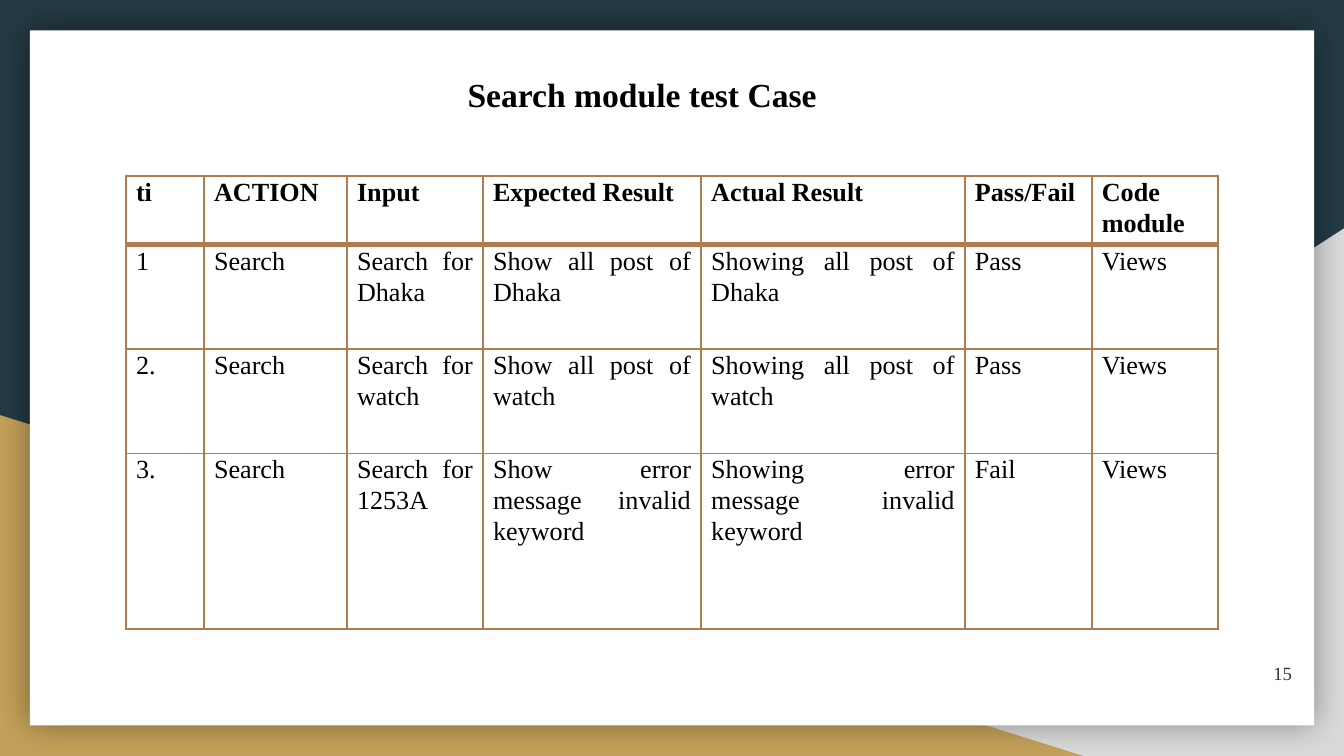
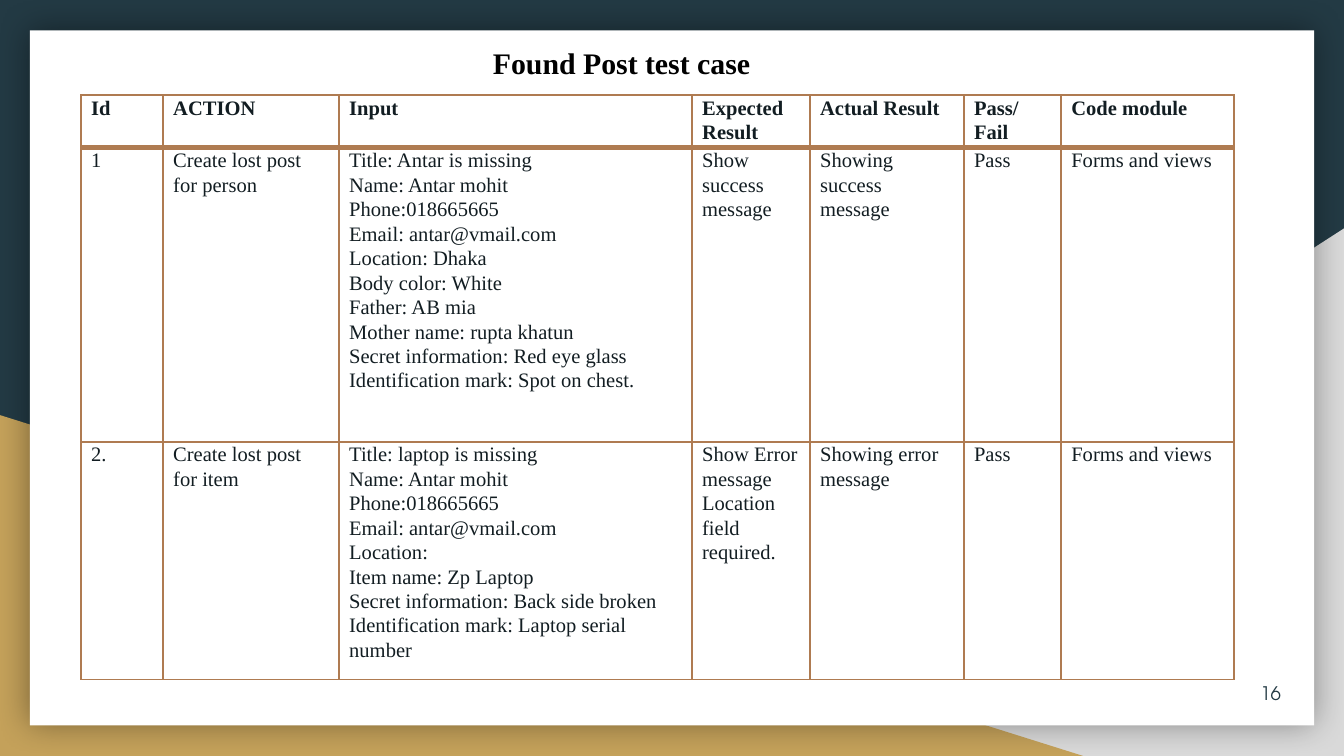
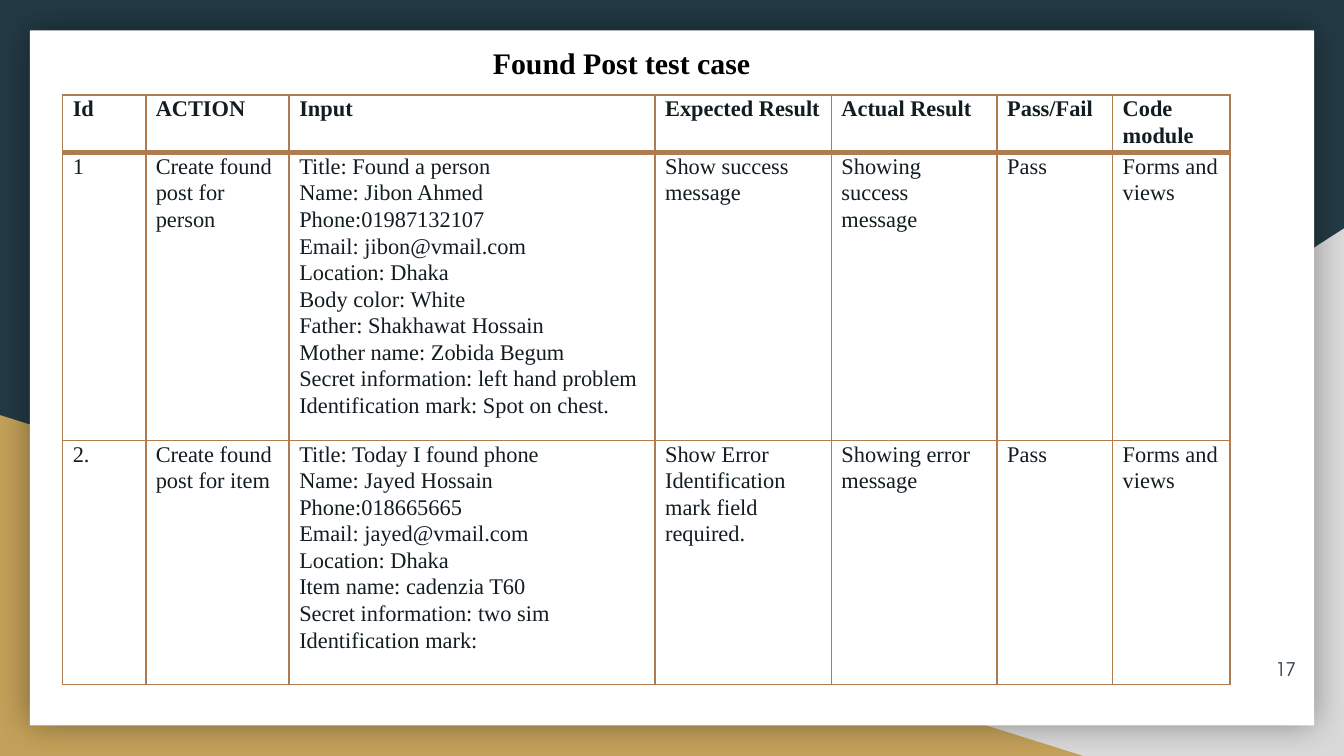
"""Build three slides of test case tables for the search and post modules."""
from lxml.etree import SubElement
from pptx import Presentation
from pptx.dml.color import RGBColor
from pptx.enum.shapes import MSO_SHAPE
from pptx.enum.text import MSO_ANCHOR, MSO_AUTO_SIZE, PP_ALIGN
from pptx.oxml import parse_xml
from pptx.oxml.ns import nsdecls, qn
from pptx.util import Pt

NAVY = RGBColor(0x23, 0x3A, 0x44)
GREY = RGBColor(0xD9, 0xD9, 0xD9)
GOLD = RGBColor(0xC4, 0xA1, 0x5A)
WHITE = RGBColor(0xFF, 0xFF, 0xFF)
BLACK = RGBColor(0x00, 0x00, 0x00)
INK = RGBColor(0x12, 0x1D, 0x22)
BROWN = RGBColor(0xAF, 0x7B, 0x51)
SERIF = "Times New Roman"
SANS = "TeX Gyre Adventor"

HEADINGS = ["ACTION", "Input", "Expected Result", "Actual Result", "Pass/Fail", "Code module"]
BACKDROP = [
    (MSO_SHAPE.RIGHT_TRIANGLE, GREY, (282.2, 122.4, 437.8, 282.6)),
    (MSO_SHAPE.RIGHT_TRIANGLE, GOLD, (0, 222.4, 580.3, 182.6)),
    (MSO_SHAPE.RECTANGLE, WHITE, (16, 16.2, 688, 372.4)),
]

SLIDES = [
    {
        "title": "Search module test Case", "title_at": (243.4, 36, 203.8, 28.8),
        "title_size": 18, "title_wrap": False,
        "number": "15", "number_at": (669.6, 344.9), "number_font": SERIF,
        "table_at": (67.5, 94.3), "size": 14, "color": BLACK, "align": PP_ALIGN.JUSTIFY,
        "columns": [41.8, 76.6, 72.9, 116.9, 141.3, 68, 67.5],
        "heights": [36.9, 55.9, 55.9, 94],
        "rows": [
            ["ti", *HEADINGS],
            ["1", "Search", "Search for Dhaka", "Show all post of Dhaka",
             "Showing all post of Dhaka", "Pass", "Views"],
            ["2.", "Search", "Search for watch", "Show all post of watch",
             "Showing all post of watch", "Pass", "Views"],
            ["3.", "Search", "Search for 1253A", "Show error message invalid keyword",
             "Showing error message invalid keyword", "Fail", "Views"],
        ],
    },
    {
        "title": "Found Post test case", "title_at": (257, 20.2, 198.7, 26.6),
        "title_size": 16, "title_wrap": True,
        "number": "16", "number_at": (663.8, 355.7), "number_font": SANS,
        "table_at": (43.4, 51), "size": 11, "color": INK, "align": PP_ALIGN.LEFT,
        "columns": [44, 94.3, 189.1, 63.2, 82.5, 52.1, 92.7],
        "heights": [28, 157.5, 127.3],
        "rows": [
            ["Id", *HEADINGS],
            ["1", "Create lost post for person",
             "Title: Antar is missing\nName: Antar mohit\nPhone:018665665\n"
             "Email: antar@vmail.com\nLocation: Dhaka\nBody color: White\n"
             "Father: AB mia\nMother name: rupta khatun\n"
             "Secret information: Red eye glass\nIdentification mark: Spot on chest.",
             "Show success message", "Showing success message", "Pass", "Forms and views"],
            ["2.", "Create lost post for item",
             "Title: laptop is missing\nName: Antar mohit\nPhone:018665665\n"
             "Email: antar@vmail.com\nLocation:\nItem name: Zp Laptop\n"
             "Secret information: Back side broken\n"
             "Identification mark: Laptop serial number",
             "Show Error message Location field required.", "Showing error message",
             "Pass", "Forms and views"],
        ],
    },
    {
        "title": "Found Post test case", "title_at": (257, 20.2, 198.7, 26.6),
        "title_size": 16, "title_wrap": True,
        "number": "17", "number_at": (671.8, 342.7), "number_font": SANS,
        "table_at": (33.6, 51), "size": 12, "color": INK, "align": PP_ALIGN.LEFT,
        "columns": [44.5, 76.9, 196, 94.5, 88.8, 61.9, 62.9],
        "heights": [30.6, 154.2, 130.8],
        "rows": [
            ["Id", *HEADINGS],
            ["1", "Create found post for person",
             "Title: Found a person\nName: Jibon Ahmed\nPhone:01987132107\n"
             "Email: jibon@vmail.com\nLocation: Dhaka\nBody color: White\n"
             "Father: Shakhawat Hossain\nMother name: Zobida Begum\n"
             "Secret information: left hand problem\nIdentification mark: Spot on chest.",
             "Show success message", "Showing success message", "Pass", "Forms and views"],
            ["2.", "Create found post for item",
             "Title: Today I found phone\nName: Jayed Hossain\nPhone:018665665\n"
             "Email: jayed@vmail.com\nLocation: Dhaka\nItem name: cadenzia T60\n"
             "Secret information: two sim\nIdentification mark:",
             "Show Error Identification mark field required.", "Showing error message",
             "Pass", "Forms and views"],
        ],
    },
]


def write(frame, text, *, size, color, font=SERIF, bold=False, align=PP_ALIGN.LEFT, spacing=1.0):
    """Fill a text frame with one paragraph per line of text."""
    for index, line in enumerate(text.split("\n")):
        paragraph = frame.add_paragraph() if index else frame.paragraphs[0]
        paragraph.alignment = align
        paragraph.line_spacing = spacing
        run = paragraph.add_run()
        run.text = line
        run.font.name = font
        run.font.size = Pt(size)
        run.font.bold = bold
        run.font.color.rgb = color


def set_borders(cell, top, bottom):
    """Draw the four brown borders of a cell, with top and bottom widths in points."""
    properties = cell._tc.get_or_add_tcPr()
    for index, (side, width) in enumerate((("L", 1), ("R", 1), ("T", top), ("B", bottom))):
        properties.insert(index, parse_xml(
            f'<a:ln{side} {nsdecls("a")} w="{Pt(width)}"><a:solidFill>'
            f'<a:srgbClr val="{BROWN}"/></a:solidFill></a:ln{side}>'))


prs = Presentation()
prs.slide_width, prs.slide_height = Pt(720), Pt(405)
master_fill = prs.slide_master.background.fill
master_fill.solid()
master_fill.fore_color.rgb = NAVY

for content in SLIDES:
    slide = prs.slides.add_slide(prs.slide_layouts[6])

    for preset, color, place in BACKDROP:
        panel = slide.shapes.add_shape(preset, *map(Pt, place))
        panel.fill.solid()
        panel.fill.fore_color.rgb = color
        panel.line.fill.background()
        panel.shadow.inherit = False
        if color == GREY:
            panel.element.spPr.get_or_add_xfrm().set("flipH", "1")
        if color == WHITE:
            effects = panel.element.spPr.find(qn("a:effectLst"))
            glow = SubElement(effects, qn("a:outerShdw"), blurRad=str(Pt(18)), dist="0", dir="0")
            tint = SubElement(glow, qn("a:srgbClr"), val=str(BLACK))
            SubElement(tint, qn("a:alpha"), val="40000")

    title = slide.shapes.add_textbox(*map(Pt, content["title_at"])).text_frame
    title.word_wrap = content["title_wrap"]
    title.auto_size = MSO_AUTO_SIZE.SHAPE_TO_FIT_TEXT
    write(title, content["title"], size=content["title_size"], color=BLACK, bold=True)

    number = slide.shapes.add_textbox(*map(Pt, (*content["number_at"], 29.5, 31))).text_frame
    number.word_wrap = True
    number.vertical_anchor = MSO_ANCHOR.MIDDLE
    number.margin_top = number.margin_bottom = Pt(7.2)
    write(number, content["number"], size=10, color=NAVY, font=content["number_font"],
          align=PP_ALIGN.RIGHT)

    rows, columns, heights = content["rows"], content["columns"], content["heights"]
    extent = (*content["table_at"], sum(columns), sum(heights))
    cases = slide.shapes.add_table(len(rows), len(columns), *map(Pt, extent)).table
    cases.horz_banding = False
    for column, width in zip(cases.columns, columns):
        column.width = Pt(width)
    for r, (row, height) in enumerate(zip(rows, heights)):
        cases.rows[r].height = Pt(height)
        for c, text in enumerate(row):
            cell = cases.cell(r, c)
            cell.margin_left = cell.margin_right = Pt(5.4)
            cell.margin_top = cell.margin_bottom = Pt(0)
            cell.fill.solid()
            cell.fill.fore_color.rgb = WHITE
            set_borders(cell, top=3 if r == 1 else 1, bottom=3 if r == 0 else 1)
            write(cell.text_frame, text, size=content["size"], color=content["color"],
                  bold=r == 0, align=content["align"], spacing=1.07)

prs.save("out.pptx")
